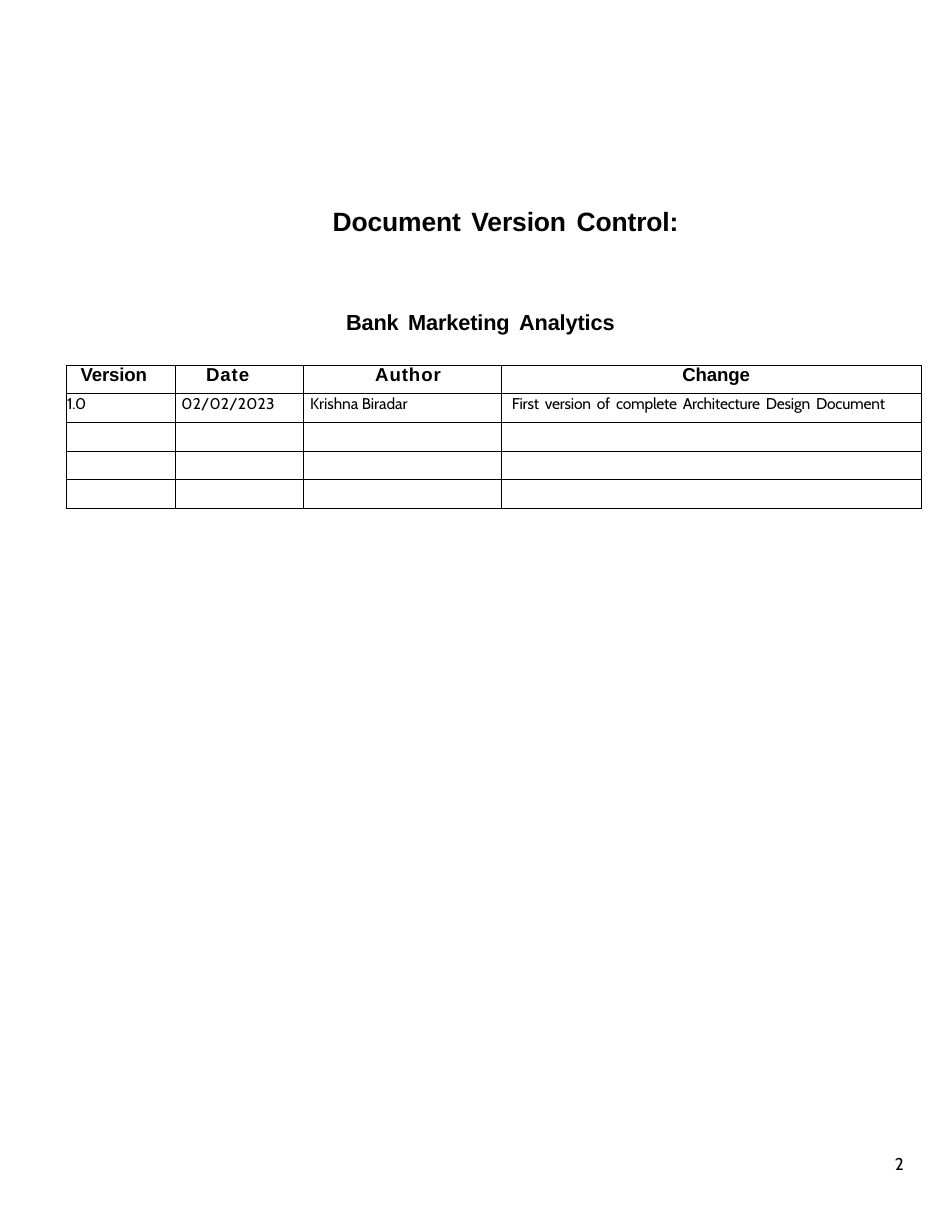
from lxml import etree
from pptx import Presentation
from pptx.dml.color import RGBColor
from pptx.enum import text
from pptx.oxml import ns
from pptx.util import Inches, Pt

COLORS = {"ink": "000000"}
COLUMN_WIDTHS = [0.98, 1.14, 1.77, 3.75]
ROW_HEIGHTS = [0.25, 0.26, 0.26, 0.25, 0.26]
HEADERS = [("Version", 0.13, -0.1), ("Date", 0.27, 0.6), ("Author", 0.64, 0.6), ("Change", 0.08, -0.1)]
ENTRIES = [
    ("1.0", 0.01, -0.1),
    ("02/02/2023", 0.05, 0.2),
    ("Krishna Biradar", 0.06, 0),
    ("First version of complete Architecture Design Document", 0.09, -0.1),
]


def add_run(paragraph, content, size, font, bold, spacing):
    """Add one formatted run with letter spacing in points."""
    run = paragraph.add_run()
    run.text = content
    run.font.size = Pt(size)
    run.font.name = font
    run.font.bold = bold
    run.font.color.rgb = RGBColor.from_string(COLORS["ink"])
    run._r.get_or_add_rPr().set("spc", str(round(spacing * 100)))


def write_words(paragraph, content, size, font, bold=False, spacing=0, gap=None, indent=0, before=0):
    """Write a left-aligned line, optionally with wider word gaps."""
    paragraph.alignment = text.PP_ALIGN.LEFT
    paragraph.space_before = Pt(before)
    properties = paragraph._p.get_or_add_pPr()
    properties.set("marL", str(Inches(indent)))
    properties.set("indent", "0")
    if gap is None:
        add_run(paragraph, content, size, font, bold, spacing)
        return
    for index, word in enumerate(content.split()):
        if index:
            add_run(paragraph, " ", size, font, bold, gap)
        add_run(paragraph, word, size, font, bold, spacing)


def set_frame(shape, left, top, width, height, inset=0.01):
    """Place a text shape and set its frame."""
    shape.left, shape.top = Inches(left), Inches(top)
    shape.width, shape.height = Inches(width), Inches(height)
    frame = shape.text_frame
    frame.word_wrap = True
    frame.auto_size = text.MSO_AUTO_SIZE.NONE
    frame.vertical_anchor = text.MSO_ANCHOR.TOP
    frame.margin_left = frame.margin_right = frame.margin_bottom = 0
    frame.margin_top = Inches(inset)
    return frame.paragraphs[0]


def add_text(slide, left, top, width, height, inset=0.01):
    """Add a text box and return its paragraph."""
    box = slide.shapes.add_textbox(0, 0, Inches(width), Inches(height))
    return set_frame(box, left, top, width, height, inset)


def format_cell(cell):
    """Clear the cell's fill and margins and draw thin borders."""
    cell.margin_left = cell.margin_right = cell.margin_top = cell.margin_bottom = 0
    properties = cell._tc.get_or_add_tcPr()
    for side in ("lnL", "lnR", "lnT", "lnB"):
        line = etree.SubElement(properties, ns.qn(f"a:{side}"), w=str(Pt(0.5)))
        fill = etree.SubElement(line, ns.qn("a:solidFill"))
        etree.SubElement(fill, ns.qn("a:srgbClr"), val=COLORS["ink"])
    cell.fill.background()


def add_version_table(slide):
    """Add the version history table."""
    frame = slide.shapes.add_table(
        len(ROW_HEIGHTS), len(COLUMN_WIDTHS), Inches(0.59), Inches(3.26),
        Inches(sum(COLUMN_WIDTHS)), Inches(sum(ROW_HEIGHTS)))
    table = frame.table
    table.first_row = table.horz_banding = False
    for column, width in zip(table.columns, COLUMN_WIDTHS):
        column.width = Inches(width)
    for row, height in zip(table.rows, ROW_HEIGHTS):
        row.height = Inches(height)
    for cell in table.iter_cells():
        format_cell(cell)
    for column, (header, indent, spacing) in enumerate(HEADERS):
        paragraph = table.cell(0, column).text_frame.paragraphs[0]
        write_words(paragraph, header, 12, "Arial", True, spacing, indent=indent)
        paragraph.line_spacing = Pt(13.2)
    table.cell(0, 3).text_frame.paragraphs[0].alignment = text.PP_ALIGN.CENTER
    for column, (entry, indent, spacing) in enumerate(ENTRIES):
        cell = table.cell(1, column)
        cell.margin_top = Inches(0.01)
        gap = 1.5 if column == 3 else None
        write_words(cell.text_frame.paragraphs[0], entry, 10, "Cabin",
                    spacing=spacing, gap=gap, indent=indent, before=0.8)
    for row in range(2, len(ROW_HEIGHTS)):
        for column in range(len(COLUMN_WIDTHS)):
            paragraph = table.cell(row, column).text_frame.paragraphs[0]
            etree.SubElement(paragraph._p, ns.qn("a:endParaRPr"), sz="1000")


def main():
    """Build and save the document version slide."""
    presentation = Presentation()
    presentation.slide_width, presentation.slide_height = Inches(8.5), Inches(11)
    slide = presentation.slides.add_slide(presentation.slide_layouts[5])
    number = add_text(slide, 7.95, 10.26, 0.35, 0.23, 0.04)
    write_words(number, "2", 11, "Cabin", indent=0.04, before=2.5)
    title = set_frame(slide.shapes.title, 2.96, 1.82, 3.16, 0.31)
    write_words(title, "Document Version Control:", 17, "Arial", True, -0.1, 2, 0.01, 1)
    subtitle = add_text(slide, 3.08, 2.75, 4.63, 0.25)
    write_words(subtitle, "Bank Marketing Analytics", 14, "Arial", True, -0.1, 2, 0.01, 1)
    add_version_table(slide)
    presentation.save("out.pptx")


if __name__ == "__main__":
    main()
